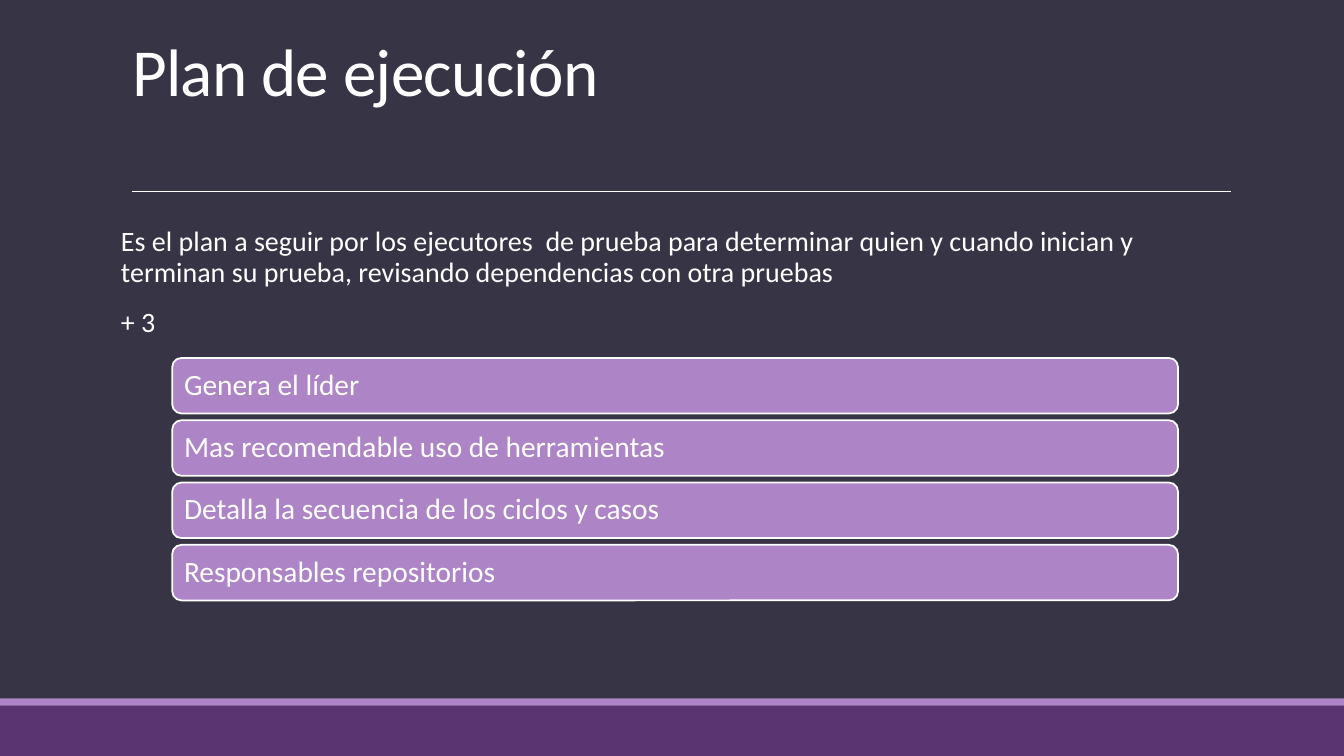
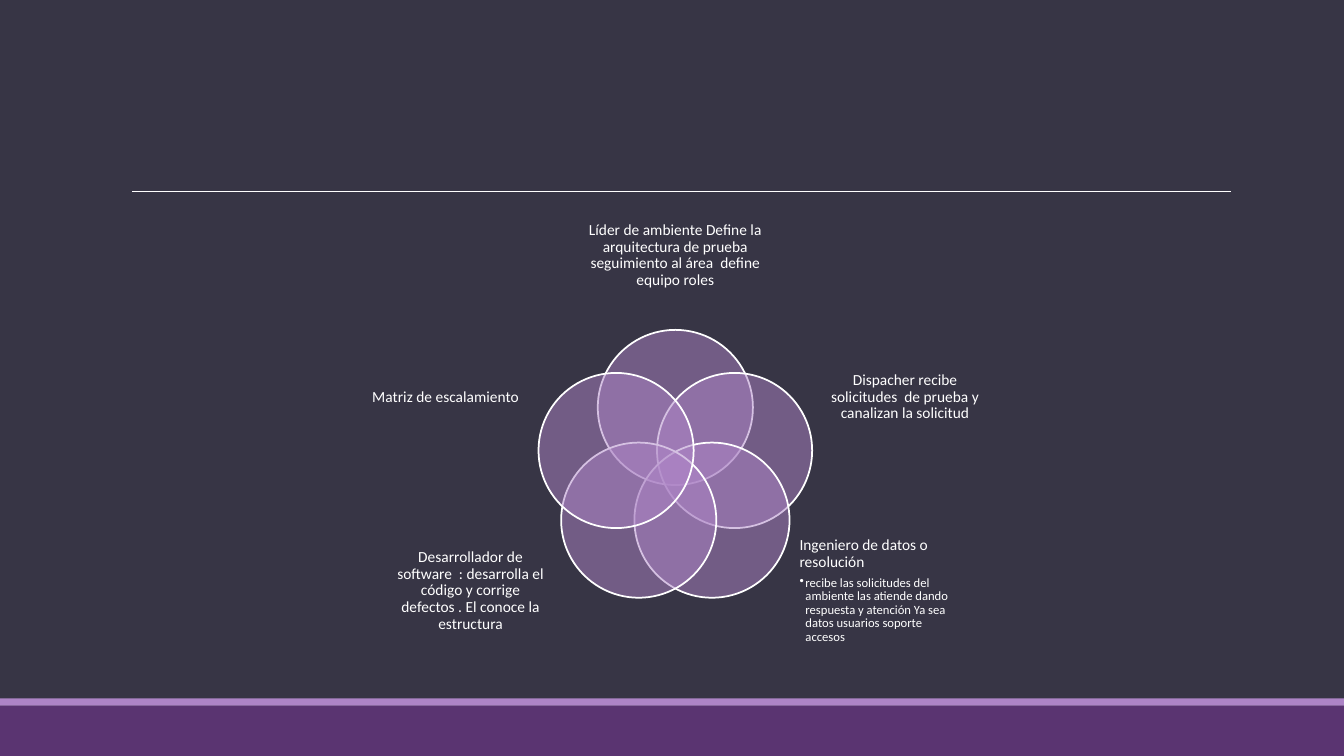
import math

import lxml.etree
import pptx
import pptx.dml.color
import pptx.enum.shapes
import pptx.enum.text
import pptx.oxml.ns
import pptx.util

Cm = pptx.util.Cm
Pt = pptx.util.Pt
qn = pptx.oxml.ns.qn
SHAPES = pptx.enum.shapes.MSO_SHAPE
ALIGN = pptx.enum.text.PP_ALIGN
ANCHOR = pptx.enum.text.MSO_ANCHOR

COLORS = {
    "background": "373545",
    "band": "5A3471",
    "accent": "AD84C6",
    "light": "FFFFFF",
}
FONT = "Calibri"
SLIDE_WIDTH, SLIDE_HEIGHT = 33.87, 19.05
TITLE_BOX = (3.33, 1.05, 27.6, 3.7)
RULE_BOX = (3.33, 4.82, 27.68, 0)
FOOTER_BOX = (0, 17.6, SLIDE_WIDTH, 1.45)
INTRO_BOX = (3.05, 5.61, 27.94, 3.2)
STEPS_BOX = (4.34, 9.02, 25.35, 6.11)
ROLES_BOX = (9.2, 5.13, 15.64, 11.18)

INTRO = [
    "Es el plan a seguir por los ejecutores  de prueba para determinar quien y "
    "cuando inician y terminan su prueba, revisando dependencias con otra pruebas",
    "+ 3",
]
STEPS = [
    "Genera el líder",
    "Mas recomendable uso de herramientas",
    "Detalla la secuencia de los ciclos y casos",
    "Responsables repositorios",
]
ROLES = [
    ("Líder de ambiente Define la arquitectura de prueba seguimiento al área  "
     "define equipo roles", None),
    ("Dispacher recibe solicitudes  de prueba y canalizan la solicitud", None),
    ("Ingeniero de datos o resolución",
     "recibe las solicitudes del ambiente las atiende dando respuesta y "
     "atención Ya sea datos usuarios soporte accesos"),
    ("Desarrollador de software  : desarrolla el código y corrige defectos . "
     "El conoce la estructura", None),
    ("Matriz de escalamiento", None),
]
ROLE_LABELS = [
    (0, -5.4, 4.55, 2.62),
    (5.79, -1.83, 4.06, 2.84),
    (5.16, 3.05, 4.06, 2.84),
    (-5.16, 3.05, 4.06, 2.84),
    (-5.79, -1.83, 4.06, 2.84),
]


def color(name):
    return pptx.dml.color.RGBColor.from_string(COLORS[name])


def lengths(box):
    return [Cm(value) for value in box]


def add_panel(slide, kind, box, fill, outline=None, alpha=None):
    panel = slide.shapes.add_shape(kind, *lengths(box))
    panel.shadow.inherit = False
    panel.fill.solid()
    panel.fill.fore_color.rgb = color(fill)
    if outline:
        panel.line.color.rgb = color(outline)
        panel.line.width = Pt(1.25)
    else:
        panel.line.fill.background()
    if alpha is not None:
        tint = panel.fill._xPr.find(qn("a:solidFill"))[0]
        lxml.etree.SubElement(tint, qn("a:alpha")).set("val", str(alpha * 1000))
    return panel


def prepare_frame(frame, anchor, inset=0):
    frame.word_wrap = True
    frame.vertical_anchor = anchor
    frame.margin_left = frame.margin_right = Cm(inset)
    frame.margin_top = frame.margin_bottom = 0
    return frame


def add_text_frame(slide, box, anchor):
    return prepare_frame(slide.shapes.add_textbox(*lengths(box)).text_frame, anchor)


def write(paragraph, text, size, align=ALIGN.LEFT, spacing=0.9, before=0, after=0):
    paragraph.text = text
    paragraph.alignment = align
    paragraph.line_spacing = spacing
    paragraph.space_before = Pt(before)
    paragraph.space_after = Pt(after)
    paragraph.font.name = FONT
    paragraph.font.size = Pt(size)
    paragraph.font.color.rgb = color("light")


def add_bullet(paragraph):
    properties = paragraph._p.get_or_add_pPr()
    indent = Cm(0.15)
    properties.set("marL", str(indent))
    properties.set("indent", str(-indent))
    bullet = lxml.etree.Element(qn("a:buChar"))
    bullet.set("char", "•")
    properties.find(qn("a:defRPr")).addprevious(bullet)


def add_footer(slide, box):
    left, top, width, height = box
    stripe = 0.18
    add_panel(slide, SHAPES.RECTANGLE,
              (left, top + stripe, width, height - stripe), "band")
    add_panel(slide, SHAPES.RECTANGLE, (left, top, width, stripe), "accent")


def add_rule(slide, box):
    left, top, width, height = box
    rule = slide.shapes.add_connector(
        pptx.enum.shapes.MSO_CONNECTOR.STRAIGHT,
        *lengths((left, top, left + width, top + height)))
    rule.line.color.rgb = color("light")
    rule.line.width = Pt(0.5)
    lxml.etree.SubElement(rule._element.spPr, qn("a:effectLst"))


def add_title(slide, box, text):
    title = add_text_frame(slide, box, ANCHOR.TOP).paragraphs[0]
    write(title, text, 48, spacing=0.85)
    title.runs[0]._r.get_or_add_rPr().set("spc", "-50")


def add_intro(slide, box, sentences):
    frame = add_text_frame(slide, box, ANCHOR.TOP)
    frame.margin_top = Cm(0.13)
    for index, sentence in enumerate(sentences):
        paragraph = frame.add_paragraph() if index else frame.paragraphs[0]
        write(paragraph, sentence, 20, before=12, after=2)


def add_steps(slide, box, steps):
    left, top, width, height = box
    bar_height = 1.4
    pitch = (height - bar_height) / (len(steps) - 1)
    for index, step in enumerate(steps):
        bar = add_panel(slide, SHAPES.ROUNDED_RECTANGLE,
                        (left, top + index * pitch, width, bar_height),
                        "accent", "light")
        frame = prepare_frame(bar.text_frame, ANCHOR.MIDDLE, 0.23)
        write(frame.paragraphs[0], step, 21)


def add_roles(slide, box, roles):
    left, top, width, height = box
    center_x, center_y = left + width / 2, top + 0.6 * height
    orbit, diameter = 1.57, 3.91
    for index, ((role, duty), label) in enumerate(zip(roles, ROLE_LABELS)):
        angle = 2 * math.pi * index / len(roles)
        circle_x = center_x + orbit * math.sin(angle)
        circle_y = center_y - orbit * math.cos(angle)
        add_panel(slide, SHAPES.OVAL,
                  (circle_x - diameter / 2, circle_y - diameter / 2,
                   diameter, diameter), "accent", "light", alpha=50)
        shift_x, shift_y, label_width, label_height = label
        frame = add_text_frame(
            slide, (center_x + shift_x - label_width / 2,
                    center_y + shift_y - label_height / 2,
                    label_width, label_height), ANCHOR.MIDDLE)
        write(frame.paragraphs[0], role, 11,
              ALIGN.LEFT if duty else ALIGN.CENTER, after=4)
        if duty:
            detail = frame.add_paragraph()
            write(detail, duty, 9, after=1.5)
            add_bullet(detail)


def add_base_slide(deck):
    slide = deck.slides.add_slide(deck.slide_layouts[6])
    slide.background.fill.solid()
    slide.background.fill.fore_color.rgb = color("background")
    add_footer(slide, FOOTER_BOX)
    add_rule(slide, RULE_BOX)
    return slide


def add_plan_slide(deck):
    slide = add_base_slide(deck)
    add_title(slide, TITLE_BOX, "Plan de ejecución")
    add_intro(slide, INTRO_BOX, INTRO)
    add_steps(slide, STEPS_BOX, STEPS)


def add_roles_slide(deck):
    slide = add_base_slide(deck)
    add_roles(slide, ROLES_BOX, ROLES)


def main():
    deck = pptx.Presentation()
    deck.slide_width = Cm(SLIDE_WIDTH)
    deck.slide_height = Cm(SLIDE_HEIGHT)
    add_plan_slide(deck)
    add_roles_slide(deck)
    deck.save("out.pptx")


if __name__ == "__main__":
    main()
